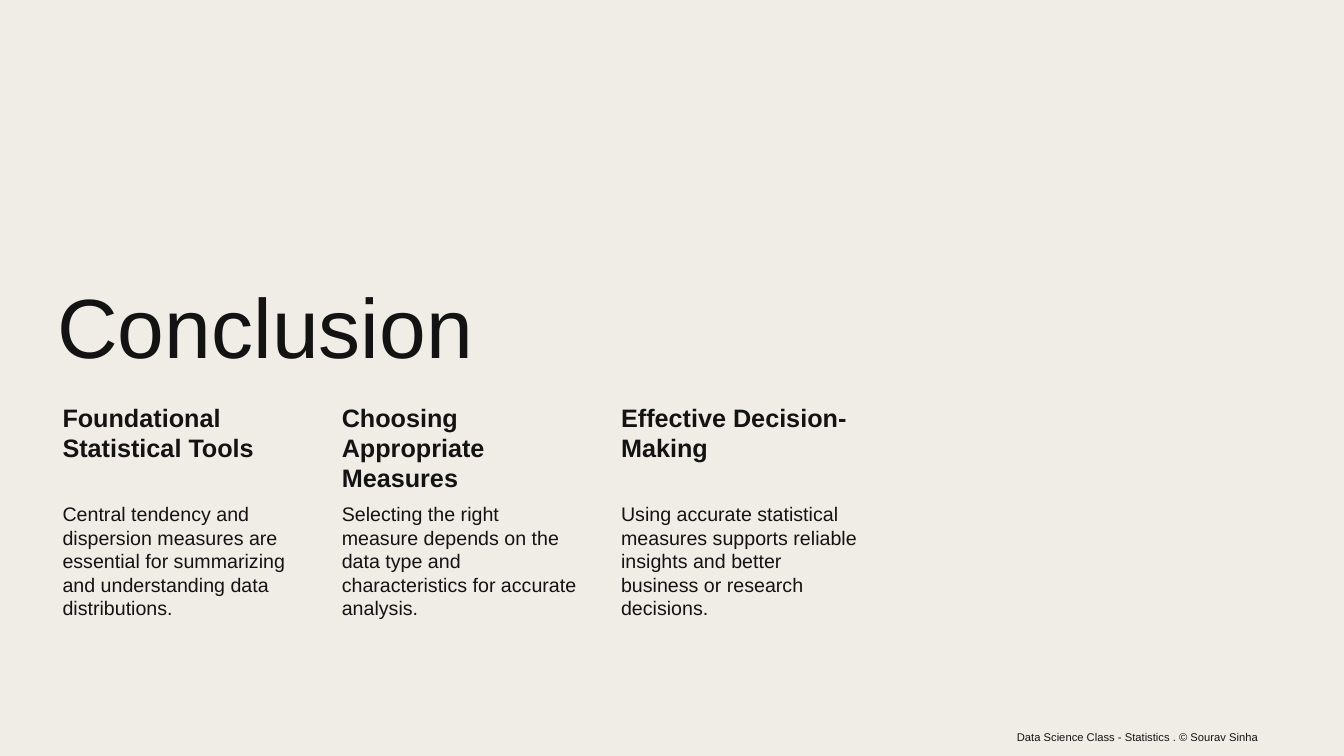
from dataclasses import dataclass

from pptx import Presentation
from pptx.dml.color import RGBColor
from pptx.enum.text import MSO_ANCHOR, PP_ALIGN
from pptx.util import Inches, Pt

TOP, MIDDLE, BOTTOM = MSO_ANCHOR.TOP, MSO_ANCHOR.MIDDLE, MSO_ANCHOR.BOTTOM
LEFT, RIGHT = PP_ALIGN.LEFT, PP_ALIGN.RIGHT


@dataclass(frozen=True)
class Theme:
    font: str = "Arial"
    background: str = "F0EDE6"
    ink: str = "131313"
    title_size: int = 60
    heading_size: int = 18
    body_size: int = 14
    footer_size: int = 8


TAKEAWAYS = [
    ("Foundational Statistical Tools",
     "Central tendency and dispersion measures are essential for "
     "summarizing and understanding data distributions."),
    ("Choosing Appropriate Measures",
     "Selecting the right measure depends on the data type and "
     "characteristics for accurate analysis."),
    ("Effective Decision-Making",
     "Using accurate statistical measures supports reliable insights "
     "and better business or research decisions."),
]
MARGIN = 0.47
COLUMN_WIDTH = 2.52
COLUMN_STEP = 2.77
HEADING_TOP, HEADING_HEIGHT = 3.96, 1
BODY_HEIGHT = 1.44


class SlideBuilder:
    def __init__(self, slide, theme):
        self.slide = slide
        self.theme = theme

    def fill_background(self):
        fill = self.slide.background.fill
        fill.solid()
        fill.fore_color.rgb = RGBColor.from_string(self.theme.background)

    def add_text(self, text, box, size, bold=False, anchor=TOP, align=LEFT,
                 insets=(0.1, 0.05, 0.1, 0.05), line_spacing=1.0):
        """Box is left, top, width, height; insets are left, top, right, bottom."""
        frame = self.slide.shapes.add_textbox(*map(Inches, box)).text_frame
        frame.word_wrap = True
        frame.vertical_anchor = anchor
        (frame.margin_left, frame.margin_top,
         frame.margin_right, frame.margin_bottom) = map(Inches, insets)
        paragraph = frame.paragraphs[0]
        paragraph.alignment = align
        paragraph.line_spacing = line_spacing
        run = paragraph.add_run()
        run.text = text
        run.font.name = self.theme.font
        run.font.size = Pt(size)
        run.font.bold = bold
        run.font.color.rgb = RGBColor.from_string(self.theme.ink)

    def add_title(self, text):
        self.add_text(text, (MARGIN, 1.78, 8.06, 2.01), self.theme.title_size,
                      anchor=BOTTOM, line_spacing=0.9)

    def add_takeaway(self, index, heading, body):
        left = MARGIN + index * COLUMN_STEP
        self.add_text(heading, (left, HEADING_TOP, COLUMN_WIDTH, HEADING_HEIGHT),
                      self.theme.heading_size, bold=True,
                      insets=(0.15, 0.03, 0.03, 0.03))
        self.add_text(body, (left, HEADING_TOP + HEADING_HEIGHT, COLUMN_WIDTH, BODY_HEIGHT),
                      self.theme.body_size, insets=(0.15, 0.02, 0.02, 0.02))

    def add_footer(self, text):
        self.add_text(text, (9.69, 7.13, 2.89, 0.37), self.theme.footer_size,
                      anchor=MIDDLE, align=RIGHT)


def main():
    presentation = Presentation()
    presentation.slide_width = Inches(13.33)
    presentation.slide_height = Inches(7.5)
    slide = presentation.slides.add_slide(presentation.slide_layouts[6])

    builder = SlideBuilder(slide, Theme())
    builder.fill_background()
    builder.add_title("Conclusion")
    for index, (heading, body) in enumerate(TAKEAWAYS):
        builder.add_takeaway(index, heading, body)
    builder.add_footer("Data Science Class - Statistics . © Sourav Sinha")
    presentation.save("out.pptx")


if __name__ == "__main__":
    main()
